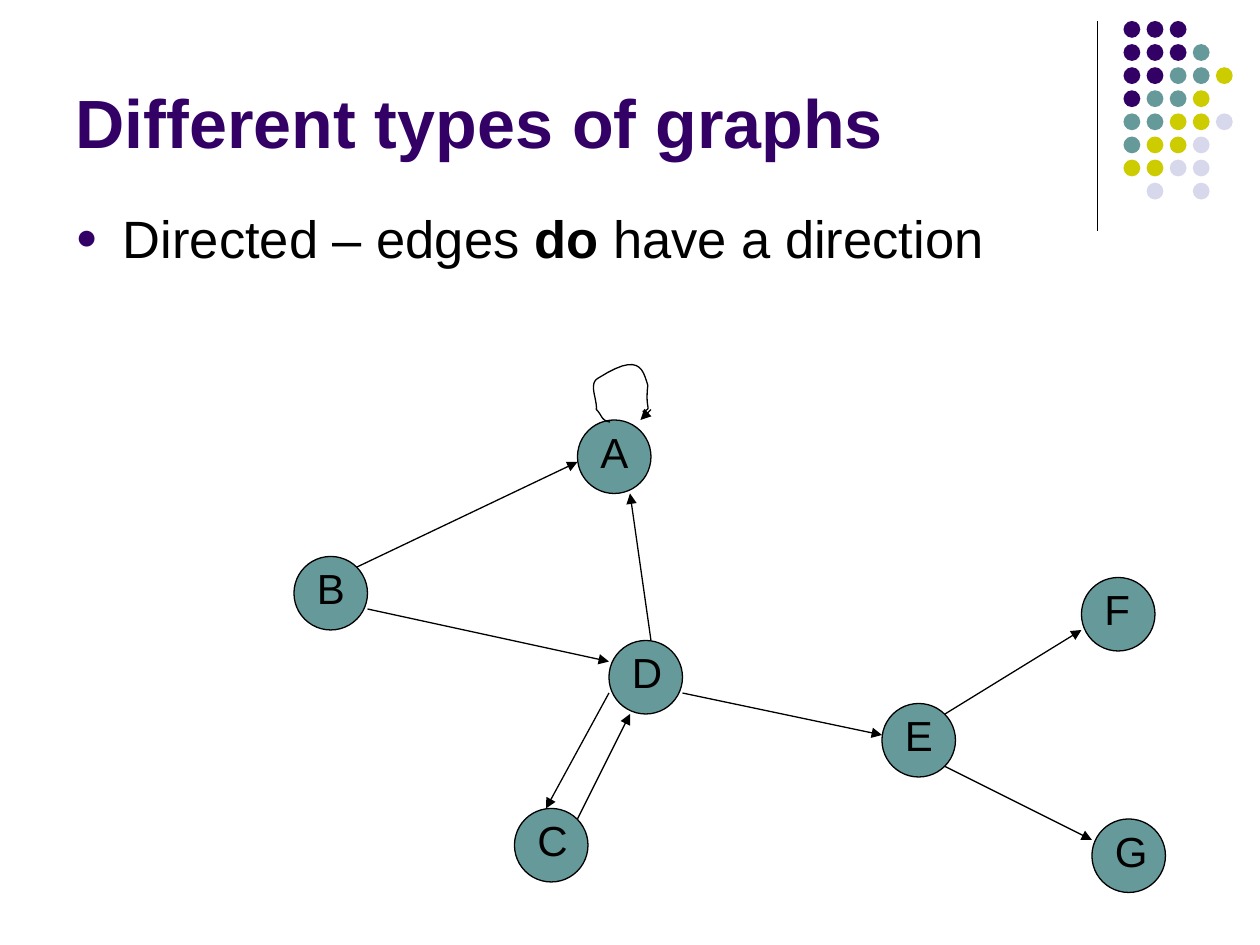
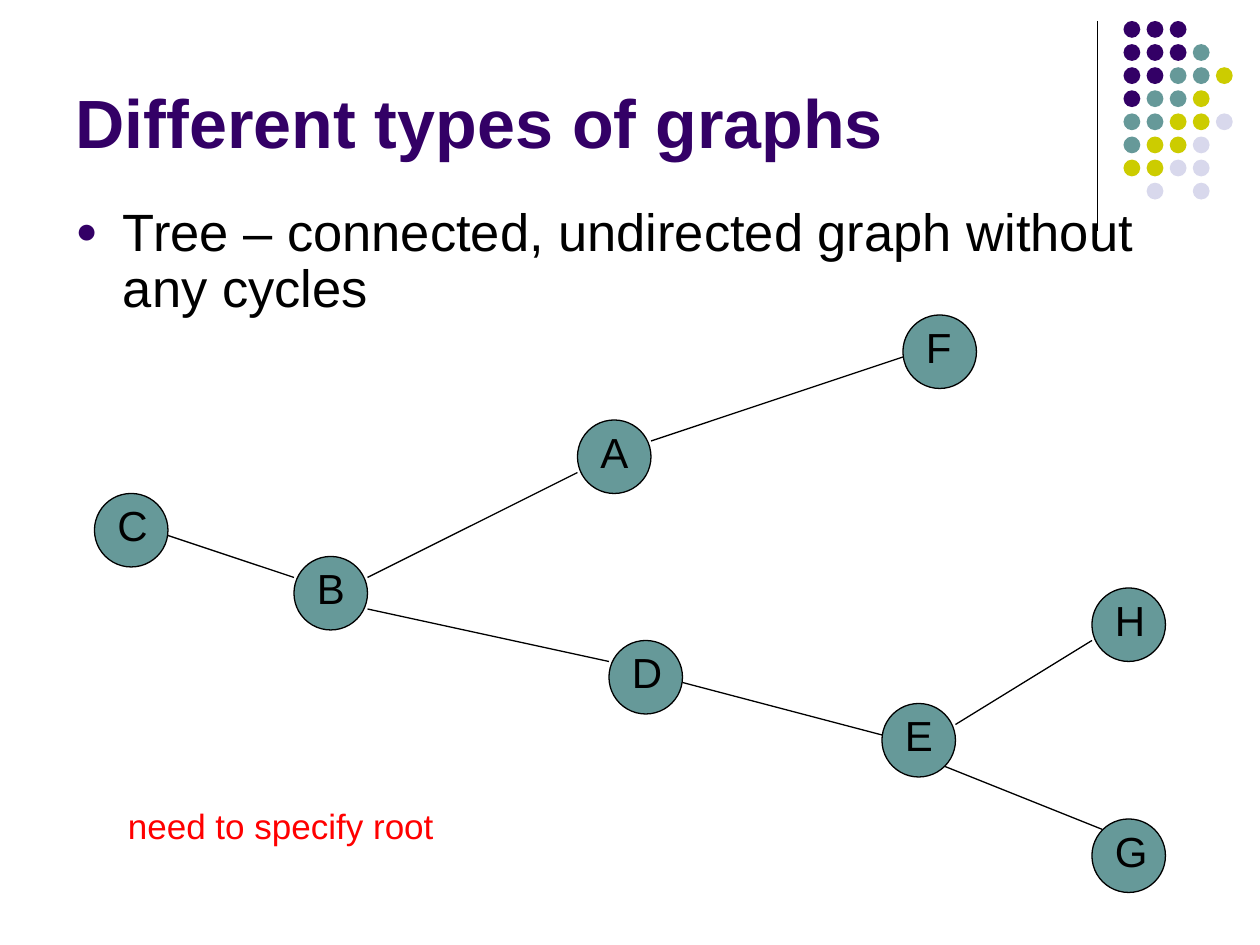
from lxml.etree import SubElement as Sub
from pptx import Presentation
from pptx.dml.color import RGBColor
from pptx.enum.shapes import MSO_CONNECTOR as Link, MSO_SHAPE as Kind
from pptx.enum.text import MSO_ANCHOR as Anchor, MSO_AUTO_SIZE as Fit, PP_ALIGN as Align
from pptx.oxml.ns import qn
from pptx.util import Pt

PX = 7620  # 120 px to the inch
NAVY, TEAL, LIME, PALE = "330066", "669999", "CCCC00", "D8D8EC"
BLACK, RED = "000000", "FF0000"
ink = RGBColor.from_string


def write(box, runs, size, color, fit=Fit.NONE):
    frame = box.text_frame
    frame.word_wrap = True
    frame.auto_size = fit
    para = frame.paragraphs[0]
    para.alignment = Align.LEFT
    para.space_before = Pt(0)
    for text, bold in runs:
        run = para.add_run()
        run.text = text
        run.font.name, run.font.size, run.font.bold = "Arial", Pt(size), bold
        run.font.color.rgb = ink(color)
    return para


def wire(slide, ends, arrow=False):
    line = slide.shapes.add_connector(Link.STRAIGHT, *[n * PX for n in ends])
    line.line.color.rgb = ink(BLACK)
    line.line.width = Pt(0.75)
    props = line.element.spPr
    if arrow:
        Sub(props.find(qn("a:ln")), qn("a:tailEnd"), type="triangle")
    Sub(props, qn("a:effectLst"))
    return line


pages = [
    {
        "text": [("Directed – edges ", False), ("do", True), (" have a direction", False)],
        "high": 100, "lead": 1.0, "arrow": True,
        "nodes": {"A": (550, 400), "B": (280, 530), "C": (490, 770), "E": (840, 670),
                  "D": (580, 610), "F": (1030, 550), "G": (1040, 780)},
        "edges": [(340, 540, 550, 440), (350, 580, 580, 630), (620, 610, 600, 470),
                  (550, 780, 600, 680), (650, 660, 840, 700), (900, 680, 1030, 600),
                  (900, 730, 1040, 800), (580, 660, 520, 770), (620, 390, 610, 400)],
    },
    {
        "text": [("Tree – connected, undirected graph without any cycles", False)],
        "high": 130, "lead": 0.9, "arrow": False,
        "nodes": {"A": (550, 400), "B": (280, 530), "C": (90, 470), "E": (840, 670),
                  "D": (580, 610), "F": (860, 300), "G": (1040, 780), "H": (1040, 560)},
        "edges": [(350, 550, 550, 450), (350, 580, 580, 630), (860, 340, 620, 420),
                  (650, 650, 840, 700), (910, 690, 1040, 610), (900, 730, 1050, 790),
                  (160, 510, 280, 550)],
    },
]

deck = Presentation()
deck.slide_width, deck.slide_height = 1200 * PX, 900 * PX
layout = deck.slide_layouts[1]
for item in list(layout.placeholders)[2:]:
    item.element.getparent().remove(item.element)
slides = [deck.slides.add_slide(layout) for page in pages]

# Shared corner: rule and dot grid, moved to the layout
rule = wire(slides[0], (1045, 20, 1045, 220))
dots = slides[0].shapes.add_group_shape()
tones = {"N": NAVY, "T": TEAL, "Y": LIME, "L": PALE}
rows = ["NNN", "NNNT", "NNTTY", "NTTY", "TTYYL", "TYYL", "YYLL", " L L"]
for r, row in enumerate(rows):
    for c, key in enumerate(row):
        if key in tones:
            dot = dots.shapes.add_shape(Kind.OVAL, (1070 + 22 * c) * PX, (20 + 22 * r) * PX,
                                        16 * PX, 16 * PX)
            dot.shadow.inherit = False
            dot.fill.solid()
            dot.fill.fore_color.rgb = ink(tones[key])
            dot.line.fill.background()
for part in (rule, dots):
    layout.shapes.element.append(part.element)

for slide, page in zip(slides, pages):
    # Title
    title, body = slide.placeholders
    title.left, title.top, title.width, title.height = [n * PX for n in (60, 16, 990, 144)]
    title.text_frame.vertical_anchor = Anchor.BOTTOM
    write(title, [("Different types of graphs", True)], 39, NAVY)

    # Bullet
    body.left, body.top, body.width, body.height = [n * PX for n in (60, 190, 1080, page["high"])]
    para = write(body, page["text"], 30, BLACK)
    para.line_spacing = page["lead"]
    props = para._p.get_or_add_pPr()
    props.set("marL", str(45 * PX))
    props.set("indent", str(-45 * PX))
    Sub(Sub(props, qn("a:buClr")), qn("a:srgbClr"), val=NAVY)
    Sub(props, qn("a:buSzPct"), val="70000")
    Sub(props, qn("a:buFont"), typeface="Arial")
    Sub(props, qn("a:buChar"), char="●")

    # Nodes and edges
    for name, (x, y) in page["nodes"].items():
        node = slide.shapes.add_group_shape()
        disc = node.shapes.add_shape(Kind.OVAL, x * PX, y * PX, 70 * PX, 70 * PX)
        disc.shadow.inherit = False
        disc.fill.solid()
        disc.fill.fore_color.rgb = ink(TEAL)
        disc.line.color.rgb = ink(BLACK)
        disc.line.width = Pt(0.75)
        label = node.shapes.add_textbox((x + 10) * PX, y * PX, 60 * PX, 60 * PX)
        write(label, [(name, False)], 24, BLACK, Fit.SHAPE_TO_FIT_TEXT)
    for ends in page["edges"]:
        wire(slide, ends, page["arrow"])

# Self-loop on node A, as sampled cubic curves
start = (581, 402)
curves = [((572, 400), (574, 396), (568, 390)), ((569, 380), (560, 365), (570, 360)),
          ((608, 336), (612, 350), (617, 367)), ((614, 392), (622, 388), (612, 392))]
points, last = [], start
for one, two, end in curves:
    for step in range(1, 13):
        t = step / 12
        u = 1 - t
        points.append([round(PX * (u**3 * a + 3 * u * u * t * b + 3 * u * t * t * c + t**3 * d))
                       for a, b, c, d in zip(last, one, two, end)])
    last = end
pen = slides[0].shapes.build_freeform(start[0] * PX, start[1] * PX)
pen.add_line_segments(points, close=False)
loop = pen.convert_to_shape()
loop.shadow.inherit = False
loop.fill.background()
loop.line.color.rgb = ink(BLACK)
loop.line.width = Pt(0.75)

# Remark on the tree
note = slides[1].shapes.add_textbox(110 * PX, 760 * PX, 350 * PX, 52 * PX)
write(note, [("need to specify root", False)], 20, RED, Fit.SHAPE_TO_FIT_TEXT)

deck.save("out.pptx")
